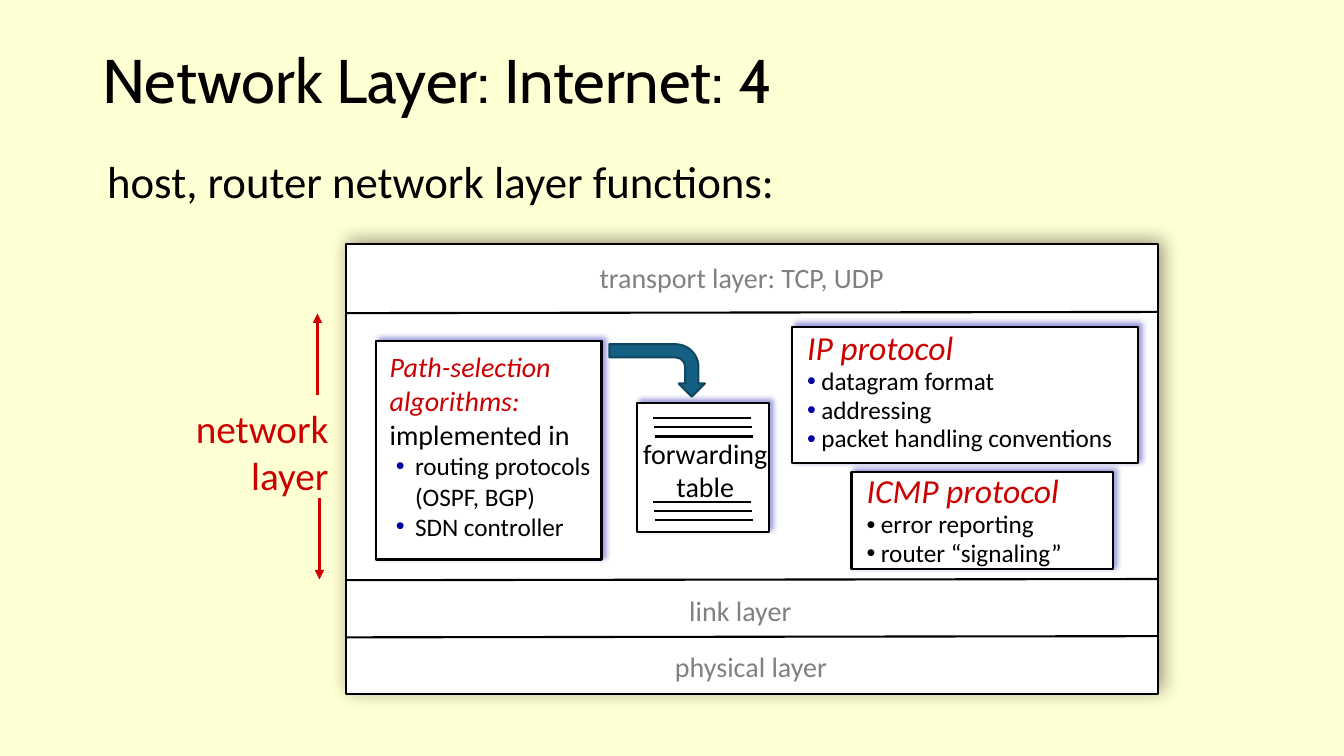
from lxml import etree
from pptx import Presentation
from pptx.dml.color import RGBColor
from pptx.enum import shapes, text
from pptx.oxml import ns
from pptx.util import Cm, Pt

PAPER = RGBColor(0xFF, 0xFF, 0xD4)
WHITE = RGBColor(0xFF, 0xFF, 0xFF)
BLACK = RGBColor(0, 0, 0)
GRAY = RGBColor(0x80, 0x80, 0x80)
RED = RGBColor(0xCC, 0, 0)
NAVY = RGBColor(0, 0, 0xA3)
TEAL = RGBColor(0x15, 0x60, 0x82)
DARK_TEAL = RGBColor(0x10, 0x47, 0x60)
ALIGN = text.PP_ALIGN


def sub(parent, tag, **attrs):
    el = etree.SubElement(parent, ns.qn(tag))
    for name, value in attrs.items():
        el.set(name, str(value))
    return el


def text_frame(slide, box, wrap=True, grow=True, anchor=text.MSO_ANCHOR.TOP):
    tf = slide.shapes.add_textbox(*map(Cm, box)).text_frame
    tf.word_wrap = wrap
    tf.auto_size = (text.MSO_AUTO_SIZE.SHAPE_TO_FIT_TEXT if grow
                    else text.MSO_AUTO_SIZE.NONE)
    tf.vertical_anchor = anchor
    return tf


def write(tf, words, p=None, size=18, color=BLACK, font="Calibri", italic=False,
          align=ALIGN.LEFT, spacing=None, bullet=None, margin=0, hang=0):
    """Add words as a new paragraph, or as a further run of paragraph p."""
    if p is None:
        p = tf.paragraphs[0]
        if p.runs:
            p = tf.add_paragraph()
        p.alignment = align
        if spacing:
            p.line_spacing = spacing
        if bullet is not None:
            pPr = p._p.get_or_add_pPr()
            pPr.set("marL", str(Cm(margin)))
            pPr.set("indent", str(-Cm(hang)))
            sub(sub(pPr, "a:buClr"), "a:srgbClr", val=bullet)
            sub(pPr, "a:buFont", typeface="Arial")
            sub(pPr, "a:buChar", char="•")
    r = p.add_run()
    r.text = words
    r.font.name, r.font.size, r.font.italic = font, Pt(size), italic
    r.font.color.rgb = color
    return p


def add_line(slide, x1, y1, x2, y2, color=BLACK, width=1.5, arrow=False):
    sp = slide.shapes.add_connector(shapes.MSO_CONNECTOR.STRAIGHT,
                                    Cm(x1), Cm(y1), Cm(x2), Cm(y2))
    sp.line.color.rgb = color
    sp.line.width = Pt(width)
    if arrow:
        sub(sp.line._get_or_add_ln(), "a:tailEnd", type="triangle")
    sub(sp._element.spPr, "a:effectLst")


def add_shape(slide, kind, box, fill=WHITE, line=BLACK):
    sp = slide.shapes.add_shape(kind, *map(Cm, box))
    sp.fill.solid()
    sp.fill.fore_color.rgb = fill
    sp.line.color.rgb = line
    sp.line.width = Pt(1.5)
    sp.shadow.inherit = False
    return sp


def shadowed_box(slide, box, color=NAVY, blur=4):
    sp = add_shape(slide, shapes.MSO_SHAPE.RECTANGLE, box)
    effects = sp._element.spPr.find(ns.qn("a:effectLst"))
    shadow = sub(effects, "a:outerShdw", blurRad=Pt(blur), dist=Pt(3),
                 dir=315 * 60000, algn="bl", rotWithShape=0)
    sub(sub(shadow, "a:srgbClr", val=color), "a:alpha", val=40000)


def heading(slide, box):
    x, y, w, h = box
    tf = text_frame(slide, (x, y, w, 2.49), grow=False,
                    anchor=text.MSO_ANCHOR.MIDDLE)
    write(tf, "Network Layer: Internet: 4", size=44, font="Cabin", spacing=0.9)
    tf = text_frame(slide, (x + 0.12, y + 3.08, 20.93, 1.22), grow=False)
    write(tf, "host, router network layer functions:", size=32, spacing=0.85)


def layer_stack(slide, box):
    x, y, w, h = box
    shadowed_box(slide, box, BLACK, 13)
    for dy in (1.74, 8.47, 9.91):
        add_line(slide, x, y + dy, x + w, y + dy - 0.03)
    for dx, dy, width, label in ((6.15, 0.3, 7.87, "transport layer: TCP, UDP"),
                                 (8.41, 8.68, 3.12, "link layer"),
                                 (8.05, 10.08, 4.42, "physical layer")):
        tf = text_frame(slide, (x + dx, y + dy, width, 1.12), wrap=False)
        write(tf, label, size=20, color=GRAY)


def protocol_card(slide, box, name, items, bullet, wrap, spacing=None):
    x, y, w, h = box
    shadowed_box(slide, box)
    tf = text_frame(slide, (x + 0.13, y - 0.11, w, h + 0.1), wrap=wrap)
    write(tf, name, size=24, color=RED, italic=True, spacing=spacing)
    for item in items:
        write(tf, item, spacing=0.95, bullet=bullet, margin=0.36, hang=0.36)


def algorithms_card(slide, box):
    x, y, w, h = box
    shadowed_box(slide, box)
    tf = text_frame(slide, (x + 0.1, y + 0.1, w + 0.2, h - 0.38))
    p = write(tf, "Path-selection algorithms: ", size=20, color=RED, italic=True)
    write(tf, "implemented in", p=p, size=20)
    for item in ("routing protocols (OSPF, BGP)", "SDN controller"):
        write(tf, item, bullet=NAVY, margin=0.64, hang=0.48)


def forwarding_table(slide, box):
    x, y, w, h = box
    shadowed_box(slide, box)
    tf = text_frame(slide, (x - 0.13, y + 0.71, 3.71, 1.96), wrap=False)
    for word in ("forwarding", "table"):
        write(tf, word, size=20, align=ALIGN.CENTER)
    for top in (0.38, 2.49):
        for i in range(3):
            left, row = x + 0.41 + 0.02 * i, y + top + 0.23 * i
            add_line(slide, left, row, left + 2.47, row)


def network_layer_span(slide, box):
    x, y, w, h = box
    tf = text_frame(slide, (x, y + 2.16, w, 2.64), wrap=False)
    for word in ("network", "layer"):
        write(tf, word, size=28, color=RED, align=ALIGN.RIGHT)
    for dx, end, step in ((3.38, y, 2.06), (3.43, y + h, -2.06)):
        add_line(slide, x + dx, end + step, x + dx, end, RED, 2.25, arrow=True)


def main():
    prs = Presentation()
    prs.slide_width, prs.slide_height = Cm(33.87), Cm(19.05)
    slide = prs.slides.add_slide(prs.slide_layouts[6])
    slide.background.fill.solid()
    slide.background.fill.fore_color.rgb = PAPER

    heading(slide, (2.33, 0.87, 29.21, 4.3))
    layer_stack(slide, (8.71, 6.15, 20.47, 11.33))
    protocol_card(slide, (19.96, 8.23, 8.71, 3.45), "IP protocol",
                  ("datagram format", "addressing", "packet handling conventions"),
                  NAVY, wrap=False)
    protocol_card(slide, (21.46, 11.89, 6.6, 2.46), "ICMP protocol",
                  ("error reporting", "router “signaling”"),
                  BLACK, wrap=True, spacing=0.95)
    network_layer_span(slide, (4.62, 7.9, 3.91, 6.7))
    forwarding_table(slide, (16.05, 10.16, 3.33, 3.25))
    algorithms_card(slide, (9.47, 8.59, 5.69, 5.51))
    bend = add_shape(slide, shapes.MSO_SHAPE.BENT_ARROW, (15.9, 8.13, 1.32, 2.41),
                     TEAL, DARK_TEAL)
    bend.rotation = 90
    prs.save("out.pptx")


if __name__ == "__main__":
    main()
